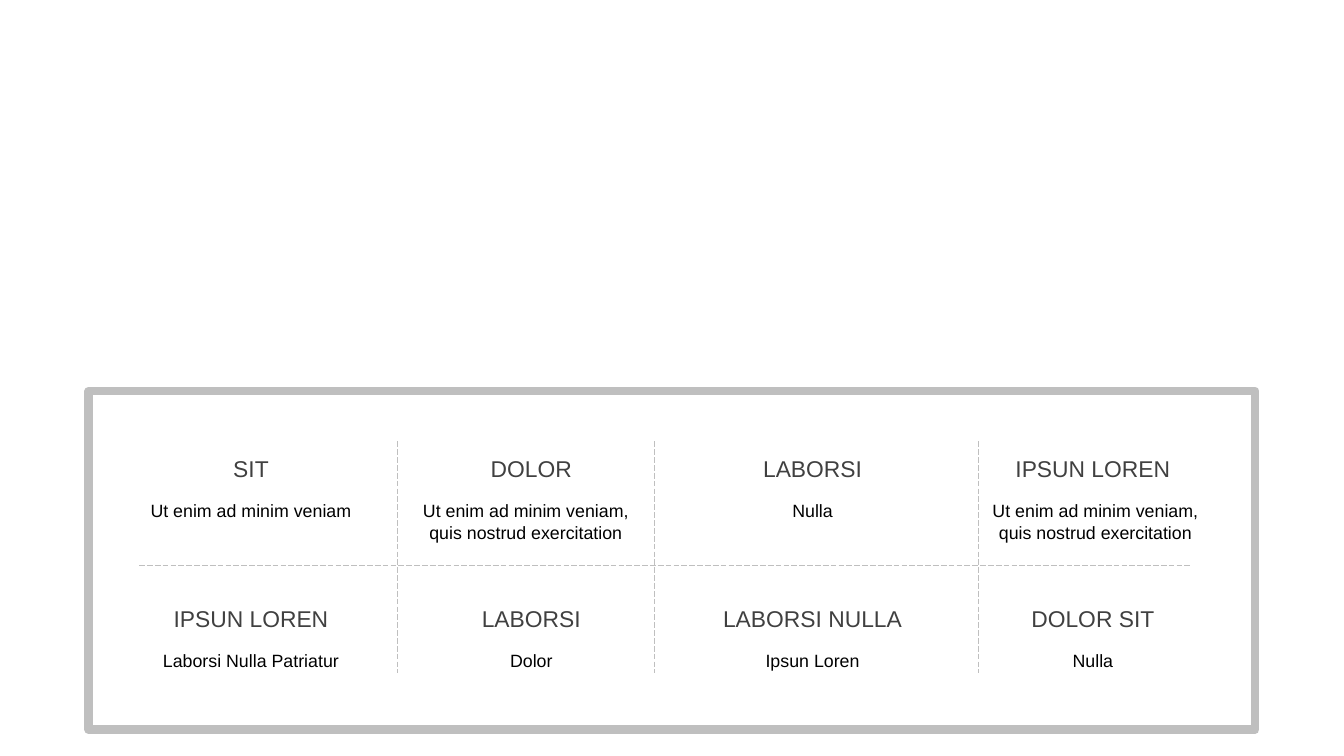
from lxml.etree import SubElement
from pptx import Presentation
from pptx.dml.color import RGBColor
from pptx.enum.dml import MSO_LINE
from pptx.enum.shapes import MSO_CONNECTOR, MSO_SHAPE
from pptx.enum.text import MSO_ANCHOR, PP_ALIGN
from pptx.oxml.ns import qn
from pptx.util import Inches, Pt

COLORS = {"panel": "FFFFFF", "border": "BFBFBF", "heading": "404040", "body": "000000"}
COLUMN_LEFTS = [1.16, 3.94, 6.73, 9.51]
COLUMN_WIDTH = 2.66
HEADING_HEIGHT = 0.53
BODY_HEIGHT = 0.71
DIVIDER_LEFTS = [3.94, 6.49, 9.7]
TOP_BODY_BOXES = [(1.16, 2.66), (3.94, 2.55), (6.73, 2.66), (9.7, 2.33)]
BOTTOM_BODY_BOXES = [(left, COLUMN_WIDTH) for left in COLUMN_LEFTS]
LONG_TEXT = "Ut enim ad minim veniam, quis nostrud exercitation"
ROWS = [
    (4.38, TOP_BODY_BOXES, [
        ("SIT", "Ut enim ad minim veniam"),
        ("DOLOR", LONG_TEXT),
        ("LABORSI", "Nulla"),
        ("IPSUN LOREN", LONG_TEXT),
    ]),
    (5.87, BOTTOM_BODY_BOXES, [
        ("IPSUN LOREN", "Laborsi Nulla Patriatur"),
        ("LABORSI", "Dolor"),
        ("LABORSI NULLA", "Ipsun Loren"),
        ("DOLOR SIT", "Nulla"),
    ]),
]


class SlideBuilder:
    """Draws styled elements on one slide."""

    def __init__(self, slide, font="Arial"):
        """Keep the slide and its font."""
        self.slide = slide
        self.font = font

    def color(self, name):
        """Return the named colour."""
        return RGBColor.from_string(COLORS[name])

    def panel(self, left, top, width, height):
        """Add the framed rectangle."""
        shape = self.slide.shapes.add_shape(
            MSO_SHAPE.RECTANGLE, Inches(left), Inches(top), Inches(width), Inches(height))
        shape.shadow.inherit = False
        shape.fill.solid()
        shape.fill.fore_color.rgb = self.color("panel")
        shape.line.color.rgb = self.color("border")
        shape.line.width = Pt(6)

    def text(self, content, left, top, width, height, size, color, anchor=MSO_ANCHOR.TOP):
        """Add a centred line of text in a wrapping box."""
        box = self.slide.shapes.add_textbox(
            Inches(left), Inches(top), Inches(width), Inches(height))
        frame = box.text_frame
        frame.word_wrap = True
        frame.vertical_anchor = anchor
        paragraph = frame.paragraphs[0]
        paragraph.alignment = PP_ALIGN.CENTER
        run = paragraph.add_run()
        run.text = content
        run.font.name = self.font
        run.font.size = Pt(size)
        run.font.color.rgb = self.color(color)

    def divider(self, start_x, start_y, end_x, end_y):
        """Add a thin dashed line."""
        connector = self.slide.shapes.add_connector(
            MSO_CONNECTOR.STRAIGHT, Inches(start_x), Inches(start_y), Inches(end_x), Inches(end_y))
        connector.line.color.rgb = self.color("border")
        connector.line.width = Pt(0.5)
        connector.line.dash_style = MSO_LINE.LONG_DASH
        SubElement(connector.element.spPr, qn("a:effectLst"))


def main():
    """Build and save the presentation."""
    presentation = Presentation()
    presentation.slide_width = Inches(13.33)
    presentation.slide_height = Inches(7.5)
    builder = SlideBuilder(presentation.slides.add_slide(presentation.slide_layouts[6]))

    builder.panel(0.88, 3.88, 11.57, 3.36)
    builder.divider(1.38, 5.61, 11.81, 5.61)
    for left in DIVIDER_LEFTS:
        builder.divider(left, 4.38, left, 6.68)
    for top, body_boxes, cells in ROWS:
        for heading_left, (body_left, body_width), (heading, body) in zip(
                COLUMN_LEFTS, body_boxes, cells):
            builder.text(heading, heading_left, top, COLUMN_WIDTH, HEADING_HEIGHT,
                         16.3, "heading", MSO_ANCHOR.MIDDLE)
            builder.text(body, body_left, top + HEADING_HEIGHT, body_width, BODY_HEIGHT,
                         12.7, "body")

    presentation.save("out.pptx")


if __name__ == "__main__":
    main()
